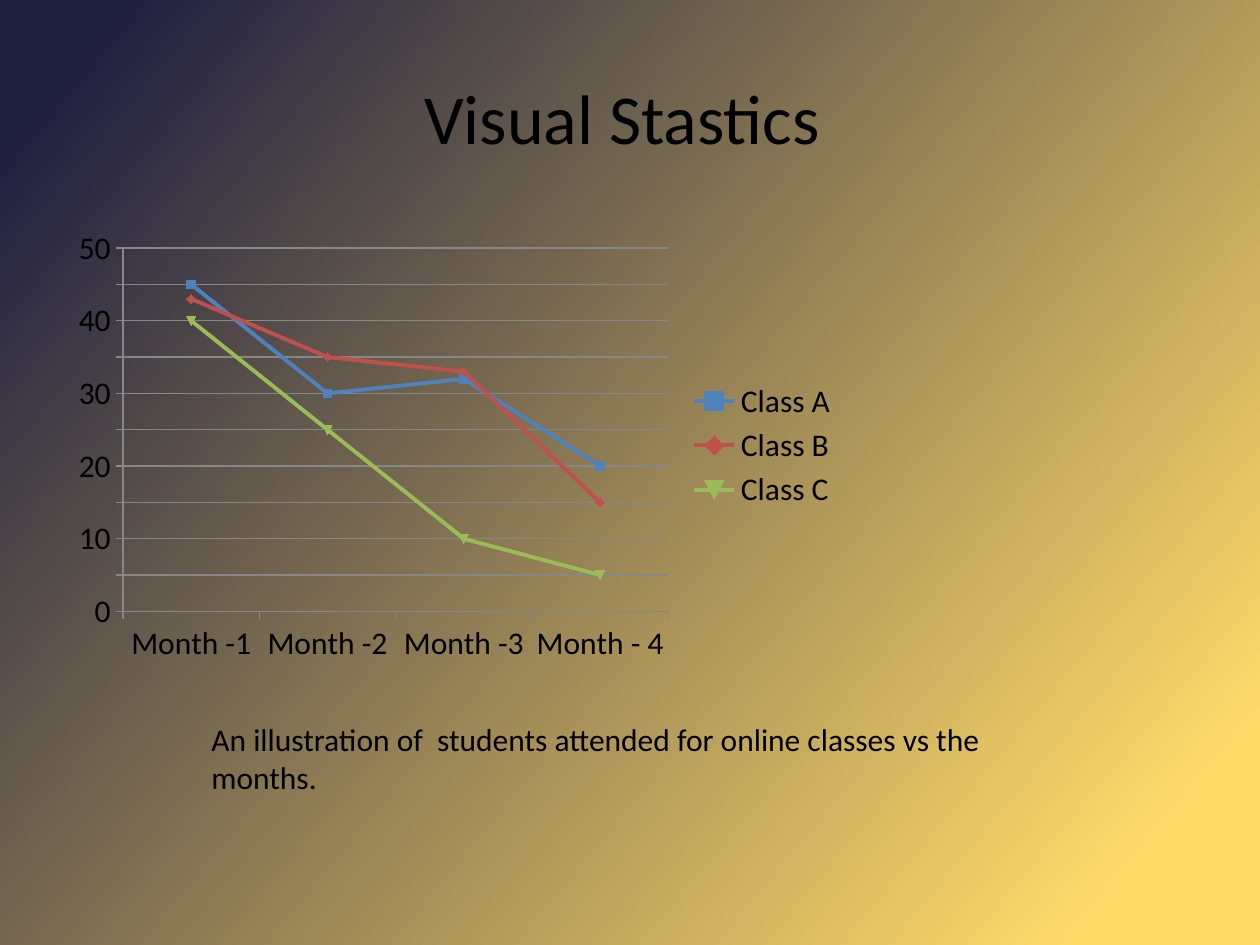
from dataclasses import dataclass

from pptx import Presentation
from pptx.chart.data import CategoryChartData
from pptx.dml.color import RGBColor as RGB
from pptx.enum.chart import XL_CHART_TYPE as ChartType
from pptx.enum.chart import XL_LEGEND_POSITION as LegendPosition
from pptx.enum.chart import XL_TICK_MARK as TickMark
from pptx.enum.text import MSO_ANCHOR as Anchor
from pptx.enum.text import PP_ALIGN as Align
from pptx.util import Emu, Pt

EMU_PER_PX = 914400 // 126


@dataclass(frozen=True)
class Theme:
    font: str = "Calibri"
    ink: RGB = RGB(0, 0, 0)
    grid: RGB = RGB(0x87, 0x87, 0x87)
    night: RGB = RGB(0x20, 0x20, 0x40)
    gold: RGB = RGB(0xFF, 0xDB, 0x69)
    title_size: int = 40
    body_size: int = 18
    line_width: float = 2.25


@dataclass(frozen=True)
class Box:
    left: int
    top: int
    width: int
    height: int

    def emu(self) -> list[Emu]:
        return [px(n) for n in (self.left, self.top, self.width, self.height)]


@dataclass(frozen=True)
class ClassAttendance:
    name: str
    students: tuple[int, ...]
    color: RGB


THEME = Theme()
MONTHS = ("Month -1", "Month -2", "Month -3", "Month - 4")
CLASSES = (
    ClassAttendance("Class A", (45, 30, 32, 20), RGB(0x4F, 0x81, 0xBD)),
    ClassAttendance("Class B", (43, 35, 33, 15), RGB(0xC0, 0x50, 0x4D)),
    ClassAttendance("Class C", (40, 25, 10, 5), RGB(0x9B, 0xBB, 0x59)),
)


def px(length: int) -> Emu:
    return Emu(length * EMU_PER_PX)


def style_font(font, size: int) -> None:
    font.name = THEME.font
    font.size = Pt(size)
    font.color.rgb = THEME.ink


def write(frame, text: str, size: int, align: Align) -> None:
    frame.word_wrap = True
    paragraph = frame.paragraphs[0]
    paragraph.alignment = align
    run = paragraph.add_run()
    run.text = text
    style_font(run.font, size)


def paint_background(slide) -> None:
    fill = slide.background.fill
    fill.gradient()
    fill.gradient_angle = 320
    stops = ((0.06, THEME.night), (0.91, THEME.gold))
    for stop, (position, color) in zip(fill.gradient_stops, stops):
        stop.position = position
        stop.color.rgb = color


def add_attendance_chart(slide, box: Box) -> None:
    data = CategoryChartData()
    data.categories = MONTHS
    for group in CLASSES:
        data.add_series(group.name, group.students)
    chart = slide.shapes.add_chart(ChartType.LINE_MARKERS, *box.emu(), data).chart
    style_font(chart.font, THEME.body_size)
    chart.has_title = False
    chart.has_legend = True
    chart.legend.position = LegendPosition.RIGHT
    chart.legend.include_in_layout = False
    chart.plots[0].vary_by_categories = False

    # Axes and gridlines
    students_axis = chart.value_axis
    students_axis.minimum_scale, students_axis.maximum_scale = 0, 50
    students_axis.major_unit = 5
    students_axis.has_major_gridlines = True
    for axis in (chart.category_axis, students_axis):
        axis.major_tick_mark = TickMark.OUTSIDE
        axis.minor_tick_mark = TickMark.NONE
        axis.format.line.color.rgb = THEME.grid
    students_axis.major_gridlines.format.line.color.rgb = THEME.grid

    # One line per class
    for series, group in zip(chart.plots[0].series, CLASSES):
        series.smooth = False
        series.format.line.color.rgb = group.color
        series.format.line.width = Pt(THEME.line_width)


deck = Presentation()
deck.slide_width, deck.slide_height = px(1260), px(945)
slide = deck.slides.add_slide(deck.slide_layouts[5])
paint_background(slide)

# Title
title = slide.shapes.title
title.left, title.top, title.width, title.height = Box(63, 38, 1134, 157).emu()
title.text_frame.vertical_anchor = Anchor.MIDDLE
write(title.text_frame, "Visual Stastics ", THEME.title_size, Align.CENTER)

# Attendance by month
add_attendance_chart(slide, Box(63, 220, 788, 451))

# Caption
caption = slide.shapes.add_textbox(*Box(199, 714, 851, 89).emu())
write(
    caption.text_frame,
    "An illustration of  students attended for online classes vs the months. ",
    THEME.body_size,
    Align.LEFT,
)

deck.save("out.pptx")
